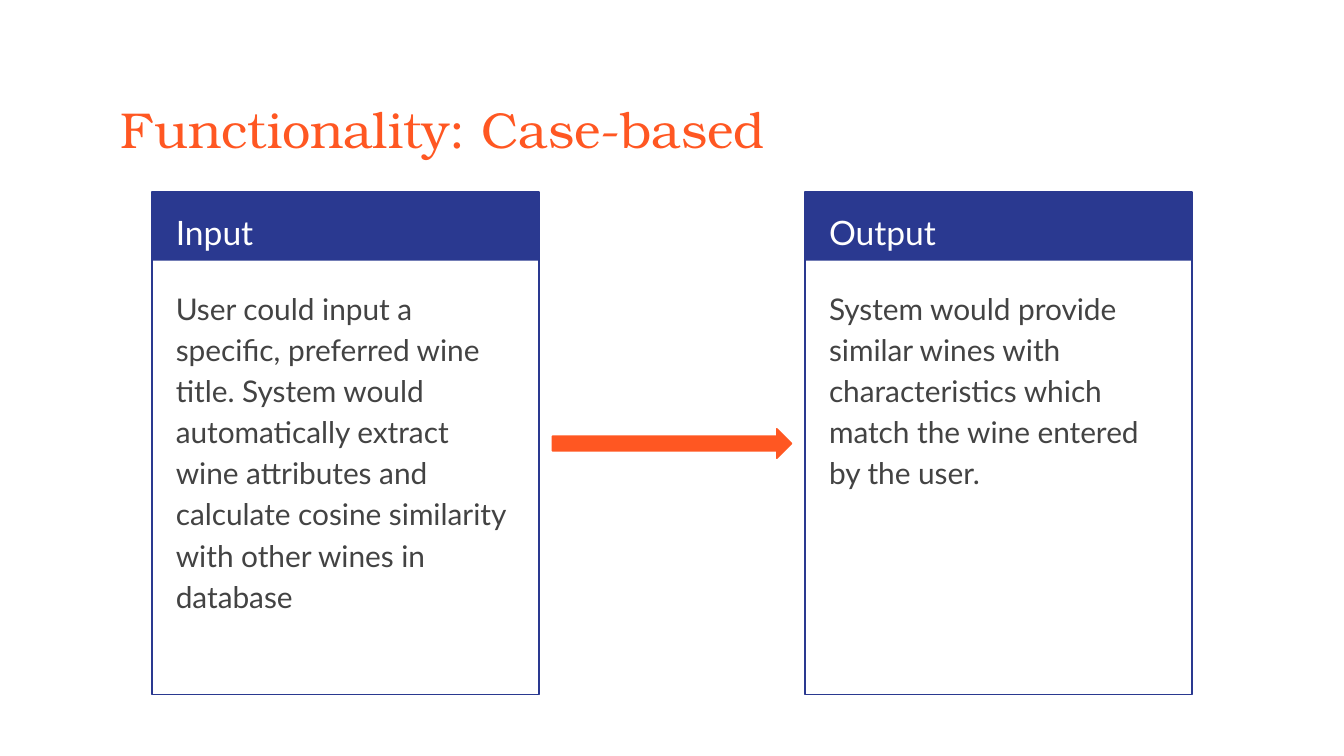
from dataclasses import dataclass

from pptx import Presentation
from pptx.dml.color import RGBColor
from pptx.enum.shapes import MSO_SHAPE
from pptx.enum.text import MSO_ANCHOR, MSO_AUTO_SIZE, PP_ALIGN
from pptx.util import Inches, Pt


@dataclass(frozen=True)
class Theme:
    title_font: str = "TeX Gyre Bonum"
    body_font: str = "Lato"
    title_size: float = 27
    heading_size: float = 18
    body_size: float = 16
    accent: str = "FF5722"
    panel: str = "2A3990"
    heading: str = "FFFFFF"
    body: str = "434343"
    line_width: float = 0.75


THEME = Theme()
SLIDE_WIDTH = 10
SLIDE_HEIGHT = SLIDE_WIDTH * 9 / 16
PANEL_WIDTH, PANEL_HEIGHT, HEADER_HEIGHT = 2.88, 3.74, 0.51
PANEL_TOP = 1.43
COLUMNS = (1.13, 5.99)
TEXT_INDENT, TEXT_WIDTH = 0.08, 2.72
HEADING_HEIGHT = 0.5
BODY_OFFSET, BODY_HEIGHT = 0.59, 3.06
ARROW_GAP, ARROW_HEIGHT = 0.1, 0.22
PANELS = (
    ("Input", "User could input a specific, preferred wine title. System would "
              "automatically extract wine attributes and calculate cosine "
              "similarity with other wines in database"),
    ("Output", "System would provide similar wines with characteristics which "
               "match the wine entered by the user."),
)


def write_text(box, text, font, size, color):
    frame = box.text_frame
    frame.text = text
    frame.word_wrap = True
    frame.auto_size = MSO_AUTO_SIZE.NONE
    frame.vertical_anchor = MSO_ANCHOR.TOP
    frame.margin_left = frame.margin_right = Inches(0.1)
    frame.margin_top = frame.margin_bottom = Inches(0.1)
    paragraph = frame.paragraphs[0]
    paragraph.alignment = PP_ALIGN.LEFT
    paragraph.font.name = font
    paragraph.font.size = Pt(size)
    paragraph.font.color.rgb = RGBColor.from_string(color)
    return paragraph


def add_title(page, text):
    title = page.shapes.title
    title.left, title.top = Inches(0.8), Inches(0.63)
    title.width, title.height = Inches(8.41), Inches(0.59)
    paragraph = write_text(title, text, THEME.title_font, THEME.title_size, THEME.accent)
    paragraph.space_before = Pt(0)


def add_block(shapes, kind, bounds, fill=None, line=None):
    shape = shapes.add_shape(kind, *map(Inches, bounds))
    shape.shadow.inherit = False
    if fill:
        shape.fill.solid()
        shape.fill.fore_color.rgb = RGBColor.from_string(fill)
    else:
        shape.fill.background()
    if line:
        shape.line.color.rgb = RGBColor.from_string(line)
        shape.line.width = Pt(THEME.line_width)
    else:
        shape.line.fill.background()


def add_label(shapes, bounds, text, size, color):
    box = shapes.add_textbox(*map(Inches, bounds))
    paragraph = write_text(box, text, THEME.body_font, size, color)
    paragraph.line_spacing = 1.15
    return paragraph


def add_panel(page, left, heading, body):
    shapes = page.shapes.add_group_shape().shapes
    add_block(shapes, MSO_SHAPE.RECTANGLE,
              (left, PANEL_TOP, PANEL_WIDTH, HEADER_HEIGHT), fill=THEME.panel)
    add_block(shapes, MSO_SHAPE.RECTANGLE,
              (left, PANEL_TOP, PANEL_WIDTH, PANEL_HEIGHT), line=THEME.panel)
    text_left = left + TEXT_INDENT
    add_label(page.shapes, (text_left, PANEL_TOP, TEXT_WIDTH, HEADING_HEIGHT),
              heading, THEME.heading_size, THEME.heading)
    paragraph = add_label(
        page.shapes, (text_left, PANEL_TOP + BODY_OFFSET, TEXT_WIDTH, BODY_HEIGHT),
        body, THEME.body_size, THEME.body)
    paragraph.space_after = Pt(16)


def add_arrow(page):
    left = COLUMNS[0] + PANEL_WIDTH + ARROW_GAP
    width = COLUMNS[1] - ARROW_GAP - left
    top = PANEL_TOP + (PANEL_HEIGHT - ARROW_HEIGHT) / 2
    add_block(page.shapes, MSO_SHAPE.RIGHT_ARROW, (left, top, width, ARROW_HEIGHT),
              fill=THEME.accent, line=THEME.accent)


def main():
    deck = Presentation()
    deck.slide_width, deck.slide_height = Inches(SLIDE_WIDTH), Inches(SLIDE_HEIGHT)
    page = deck.slides.add_slide(deck.slide_layouts[5])
    add_title(page, "Functionality: Case-based")
    for left, (heading, body) in zip(COLUMNS, PANELS):
        add_panel(page, left, heading, body)
    add_arrow(page)
    deck.save("out.pptx")


if __name__ == "__main__":
    main()
